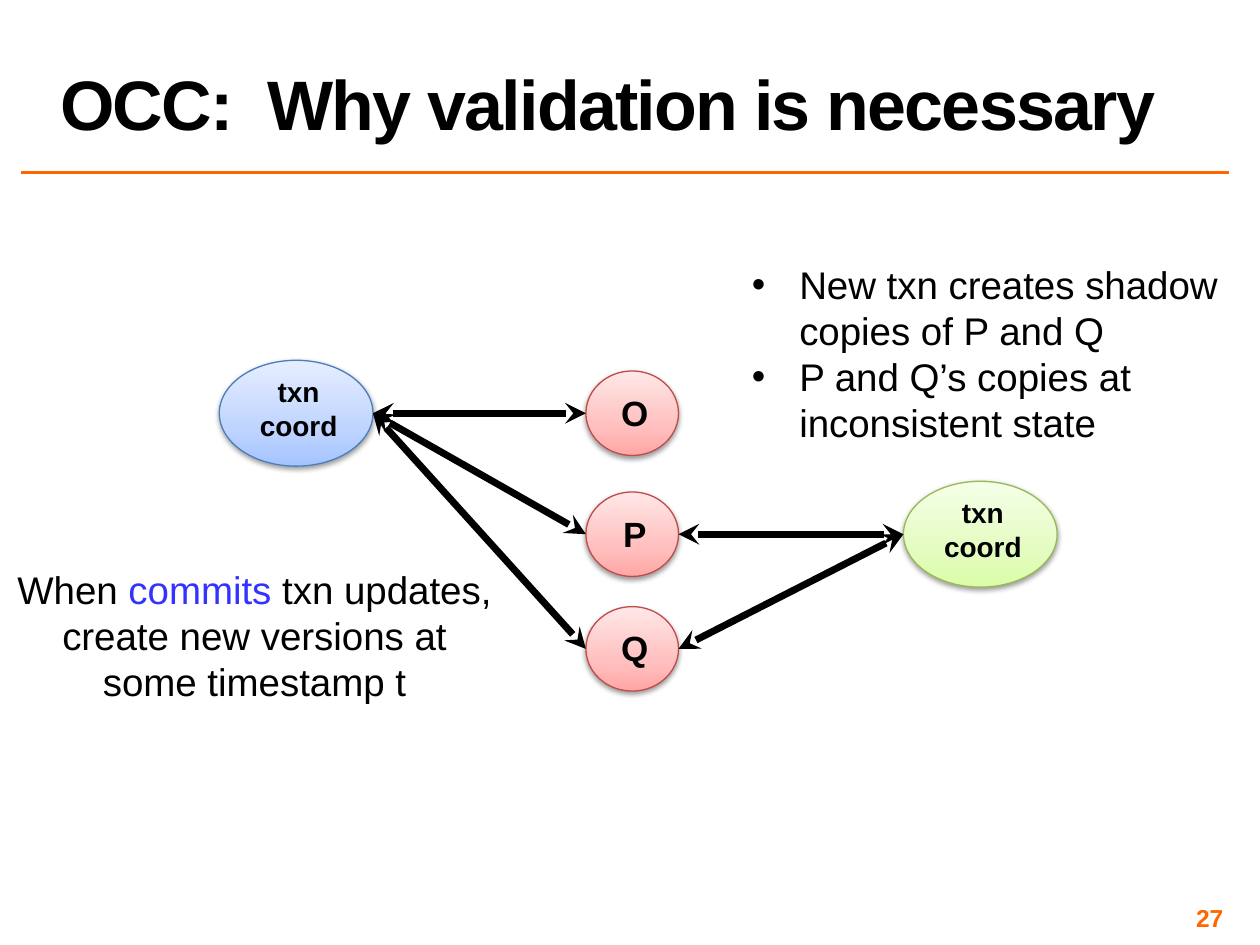
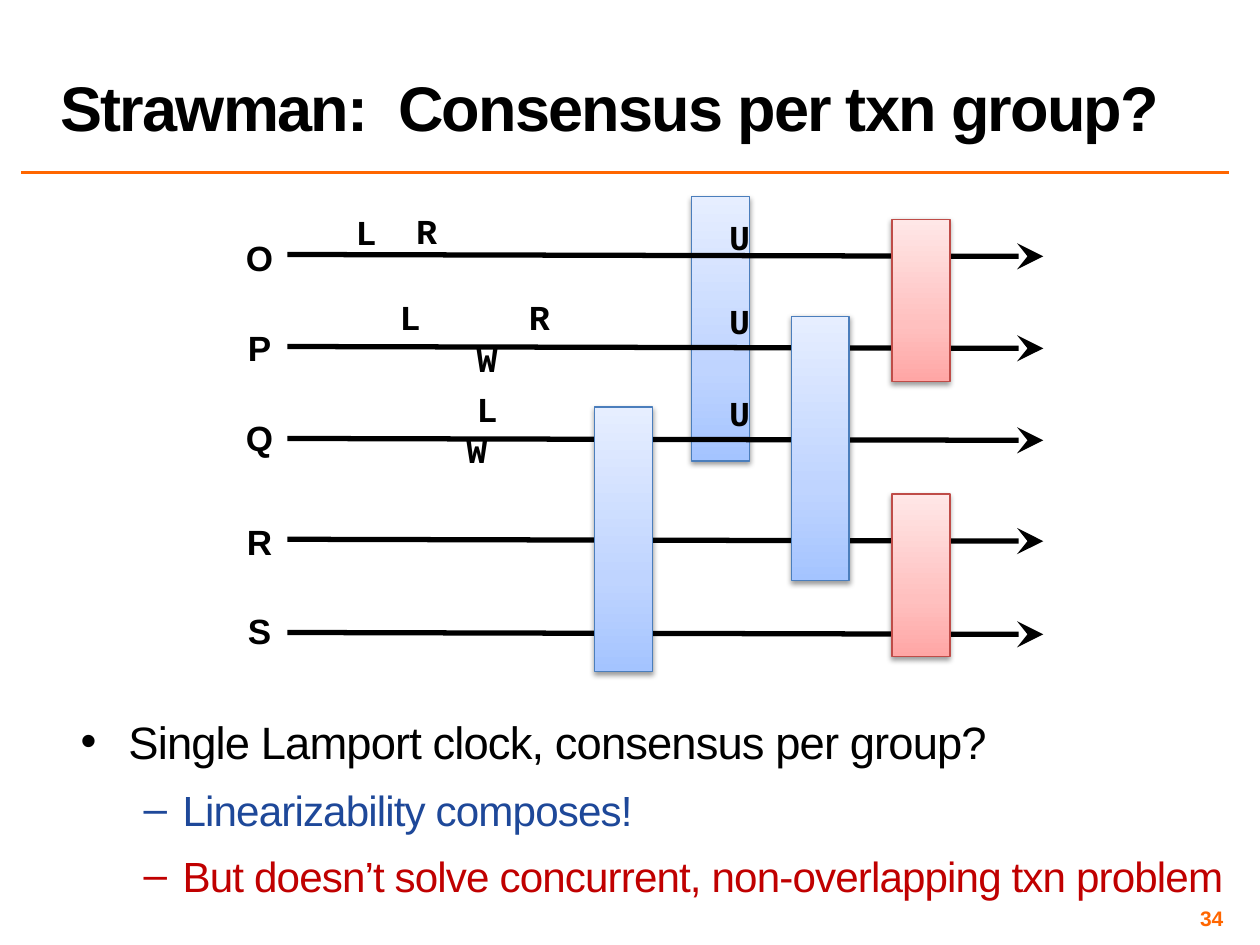
from dataclasses import dataclass, field
from typing import NamedTuple, Optional

from lxml.etree import SubElement
from pptx import Presentation
from pptx.dml.color import RGBColor
from pptx.enum.shapes import MSO_CONNECTOR as Connector, MSO_SHAPE as Preset
from pptx.enum.text import MSO_ANCHOR as Anchor, PP_ALIGN as Align
from pptx.oxml import parse_xml
from pptx.oxml.ns import nsdecls, qn
from pptx.util import Emu, Inches, Pt

WIDTH, HEIGHT = Inches(10), Inches(7.5)
COLUMNS, ROWS = 100, 75


class Tint(NamedTuple):
    dark: str
    middle: str
    light: str
    edge: str


@dataclass(frozen=True)
class Theme:
    sans: str = "Arial"
    mono: str = "Courier New"
    ink: str = "000000"
    accent: str = "FF6600"
    commit: str = "3333FF"
    good: str = "1E4899"
    bad: str = "C00000"
    blue: Tint = Tint("A4C4FF", "BFD4FF", "E6EEFF", "4B7EBC")
    red: Tint = Tint("FFA6A5", "FFC0BF", "FFE7E7", "BF4C48")
    green: Tint = Tint("DAFDA7", "E4FCC2", "F5FFE7", "98B955")
    coordinator: float = 16
    label: float = 20
    note: float = 22
    point: float = 25.9
    subpoint: float = 24.1


THEME = Theme()


class Area(NamedTuple):
    col: float
    row: float
    cols: float
    rows: float

    @property
    def middle(self) -> float:
        return self.row + self.rows / 2

    @property
    def center(self) -> float:
        return self.col + self.cols / 2

    @property
    def left(self) -> tuple:
        return self.col, self.middle

    @property
    def right(self) -> tuple:
        return self.col + self.cols, self.middle


class Words(NamedTuple):
    text: str
    size: float
    color: str = THEME.ink
    bold: bool = False
    font: str = THEME.sans
    tracking: float = 0


@dataclass(frozen=True)
class Para:
    words: list
    format: dict = field(default_factory=dict)
    bullet: str = ""
    indent: tuple = (0, 0)


class Node(NamedTuple):
    label: str
    area: Area
    tint: Tint
    size: float = THEME.label


class Lane(NamedTuple):
    label: str
    row: float
    label_row: float


class Mark(NamedTuple):
    letter: str
    center: float
    row: float


class Bar(NamedTuple):
    area: Area
    tint: Tint


def col(count: float) -> Emu:
    return Emu(round(WIDTH * count / COLUMNS))


def row(count: float) -> Emu:
    return Emu(round(HEIGHT * count / ROWS))


def place(area: Area) -> tuple:
    return col(area.col), row(area.row), col(area.cols), row(area.rows)


def apply(target, values: dict) -> None:
    for name, value in values.items():
        setattr(target, name, value)


def write(slide, area: Area, paras: list, frame_format: Optional[dict] = None,
          inset: Optional[float] = None) -> None:
    frame = slide.shapes.add_textbox(*place(area)).text_frame
    apply(frame, {"word_wrap": True, **(frame_format or {})})
    if inset is not None:
        sides = ("margin_left", "margin_right", "margin_top", "margin_bottom")
        apply(frame, dict.fromkeys(sides, col(inset)))
    for index, para in enumerate(paras):
        paragraph = frame.add_paragraph() if index else frame.paragraphs[0]
        if para.bullet:
            margin, hanging = para.indent
            properties = paragraph._p.get_or_add_pPr()
            properties.set("marL", str(col(margin)))
            properties.set("indent", str(-col(hanging)))
            SubElement(properties, qn("a:buFont")).set("typeface", THEME.sans)
            SubElement(properties, qn("a:buChar")).set("char", para.bullet)
        apply(paragraph, para.format)
        for words in para.words:
            run = paragraph.add_run()
            run.text = words.text
            apply(run.font, {"size": Pt(words.size), "bold": words.bold, "name": words.font})
            run.font.color.rgb = RGBColor.from_string(words.color)
            if words.tracking:
                run._r.get_or_add_rPr().set("spc", str(round(words.tracking * 100)))


def write_letter(slide, center: float, top: float, words: Words) -> None:
    write(slide, Area(center - 2.1, top, 4.2, 4.4),
          [Para([words], {"alignment": Align.CENTER})], {"word_wrap": False})


def draw_line(slide, start: tuple, end: tuple, color: str, points: float,
              heads: tuple = (), head_size: str = "med") -> None:
    line = slide.shapes.add_connector(Connector.STRAIGHT, col(start[0]), row(start[1]),
                                      col(end[0]), row(end[1]))
    line.line.color.rgb = RGBColor.from_string(color)
    line.line.width = Pt(points)
    for head in heads:
        SubElement(line.line._get_or_add_ln(), qn(f"a:{head}"),
                   {"type": "stealth", "w": head_size, "len": head_size})
    SubElement(line._element.spPr, qn("a:effectLst"))


def draw_tinted(slide, preset: Preset, area: Area, tint: Tint) -> None:
    shape = slide.shapes.add_shape(preset, *place(area))
    shape.line.color.rgb = RGBColor.from_string(tint.edge)
    shape.line.width = Pt(0.75)
    shape.shadow.inherit = False
    stops = "".join(f'<a:gs pos="{share * 1000}"><a:srgbClr val="{color}"/></a:gs>'
                    for share, color in zip((0, 35, 100), tint))
    properties = shape._element.spPr
    properties.find(qn("a:prstGeom")).addnext(parse_xml(
        f'<a:gradFill {nsdecls("a")} rotWithShape="1"><a:gsLst>{stops}</a:gsLst>'
        '<a:lin ang="16200000" scaled="0"/></a:gradFill>'))
    properties.find(qn("a:effectLst")).append(parse_xml(
        f'<a:outerShdw {nsdecls("a")} blurRad="{Pt(3.1)}" dist="{Pt(1.6)}" dir="5400000" '
        f'rotWithShape="0"><a:srgbClr val="{THEME.ink}"><a:alpha val="38000"/></a:srgbClr>'
        '</a:outerShdw>'))


def draw_node(slide, node: Node) -> None:
    draw_tinted(slide, Preset.OVAL, node.area, node.tint)
    words = Words(node.label, node.size, bold=True)
    center = node.area.center + 0.2
    if node.size == THEME.label:
        write_letter(slide, center, node.area.middle - 2.25, words)
    else:
        write(slide, Area(center - 4.75, node.area.middle - 3.55, 9.5, 6.4),
              [Para([words], {"alignment": Align.CENTER})])


def start_slide(deck, title: str, title_size: float, number: str, number_size: float):
    slide = deck.slides.add_slide(deck.slide_layouts[6])
    draw_line(slide, (1.7, 13.7), (97.5, 13.7), THEME.accent, 2)
    write(slide, Area(74.2, 71.7, 23.3, 2.3),
          [Para([Words(number, number_size, THEME.accent, True)], {"alignment": Align.RIGHT})],
          {"vertical_anchor": Anchor.MIDDLE}, 0.4)
    write(slide, Area(3.8, 0.2, 93.7, 11.7),
          [Para([Words(title, title_size, bold=True, tracking=-1)], {"line_spacing": 0.8})],
          {"vertical_anchor": Anchor.BOTTOM})
    return slide


def build_validation(deck) -> None:
    slide = start_slide(deck, "OCC:  Why validation is necessary", 40, "27", 14)
    writer = Node("txn coord", Area(17.4, 28.6, 12.2, 8.4), THEME.blue, THEME.coordinator)
    reader = Node("txn coord", Area(71.7, 38.2, 12.2, 8.4), THEME.green, THEME.coordinator)
    items = [Node(label, Area(46.5, top, 7.35, 6.7), THEME.red)
             for label, top in (("O", 29.45), ("P", 39.05), ("Q", 48.15))]
    for node in (writer, *items, reader):
        draw_node(slide, node)

    centered = {"alignment": Align.CENTER}
    write(slide, Area(0.2, 44.4, 40, 12.1), [
        Para([Words("When ", THEME.note), Words("commits ", THEME.note, THEME.commit),
              Words("txn updates,", THEME.note)], centered),
        Para([Words("create new versions at some timestamp t", THEME.note)], centered)])
    write(slide, Area(58.7, 20.2, 40.4, 15.8), [
        Para([Words(text, THEME.note)], bullet="•", indent=(3.75, 3.75))
        for text in ("New txn creates shadow copies of P and Q",
                     "P and Q’s copies at inconsistent state")])

    links = [(writer.area.right, item.area.left) for item in items]
    links += [(reader.area.left, item.area.right) for item in items[1:]]
    for start, end in links:
        draw_line(slide, start, end, THEME.ink, 4, ("headEnd", "tailEnd"))


def build_strawman(deck) -> None:
    slide = start_slide(deck, "Strawman:  Consensus per txn group?", 36, "34", 12)
    lanes = [Lane("O", 20.2, 18.3), Lane("P", 27.5, 25.4), Lane("Q", 34.8, 32.6),
             Lane("R", 42.8, 40.8), Lane("S", 50.2, 47.9)]
    marks = [Mark("L", 29.05, 16.2), Mark("R", 33.85, 16.1), Mark("U", 58.7, 16.6),
             Mark("L", 32.55, 23), Mark("R", 42.8, 23), Mark("W", 38.65, 26.3),
             Mark("U", 58.7, 23.3), Mark("L", 38.65, 30.3), Mark("W", 37.85, 33.5),
             Mark("U", 58.7, 30.6)]
    back_bar, *front_bars = [
        Bar(Area(left, top, 4.6, 21 if tint is THEME.blue else 12.9), tint)
        for left, top, tint in ((54.9, 15.6, THEME.blue), (47.2, 32.3, THEME.blue),
                                (62.8, 25.1, THEME.blue), (70.8, 17.4, THEME.red),
                                (70.8, 39.2, THEME.red))]

    draw_tinted(slide, Preset.RECTANGLE, *back_bar)
    for lane in lanes:
        draw_line(slide, (22.8, lane.row), (82.8, lane.row + 0.15), THEME.ink, 3,
                  ("tailEnd",), "lg")
        write_letter(slide, 20.6, lane.label_row, Words(lane.label, THEME.label, bold=True))
    for mark in marks:
        write_letter(slide, mark.center, mark.row,
                     Words(mark.letter, THEME.label, bold=True, font=THEME.mono))
    for bar in front_bars:
        draw_tinted(slide, Preset.RECTANGLE, *bar)

    sub_format = {"line_spacing": 0.75, "space_before": Pt(8), "space_after": Pt(8)}
    subpoints = [
        Para([Words(text, THEME.subpoint, color, tracking=-0.5)], sub_format, "–", (8.1, 3.1))
        for text, color in (
            ("Linearizability composes!", THEME.good),
            ("But doesn’t solve concurrent, non-overlapping txn problem", THEME.bad))]
    write(slide, Area(6, 57.1, 93, 15.7), [
        Para([Words("Single Lamport clock, consensus per group?", THEME.point, tracking=-0.5)],
             {"line_spacing": 0.8, "space_after": Pt(8)}, "•", (3.8, 3.8)),
        *subpoints], inset=0.4)


def main() -> None:
    deck = Presentation()
    apply(deck, {"slide_width": WIDTH, "slide_height": HEIGHT})
    build_validation(deck)
    build_strawman(deck)
    deck.save("out.pptx")


if __name__ == "__main__":
    main()
